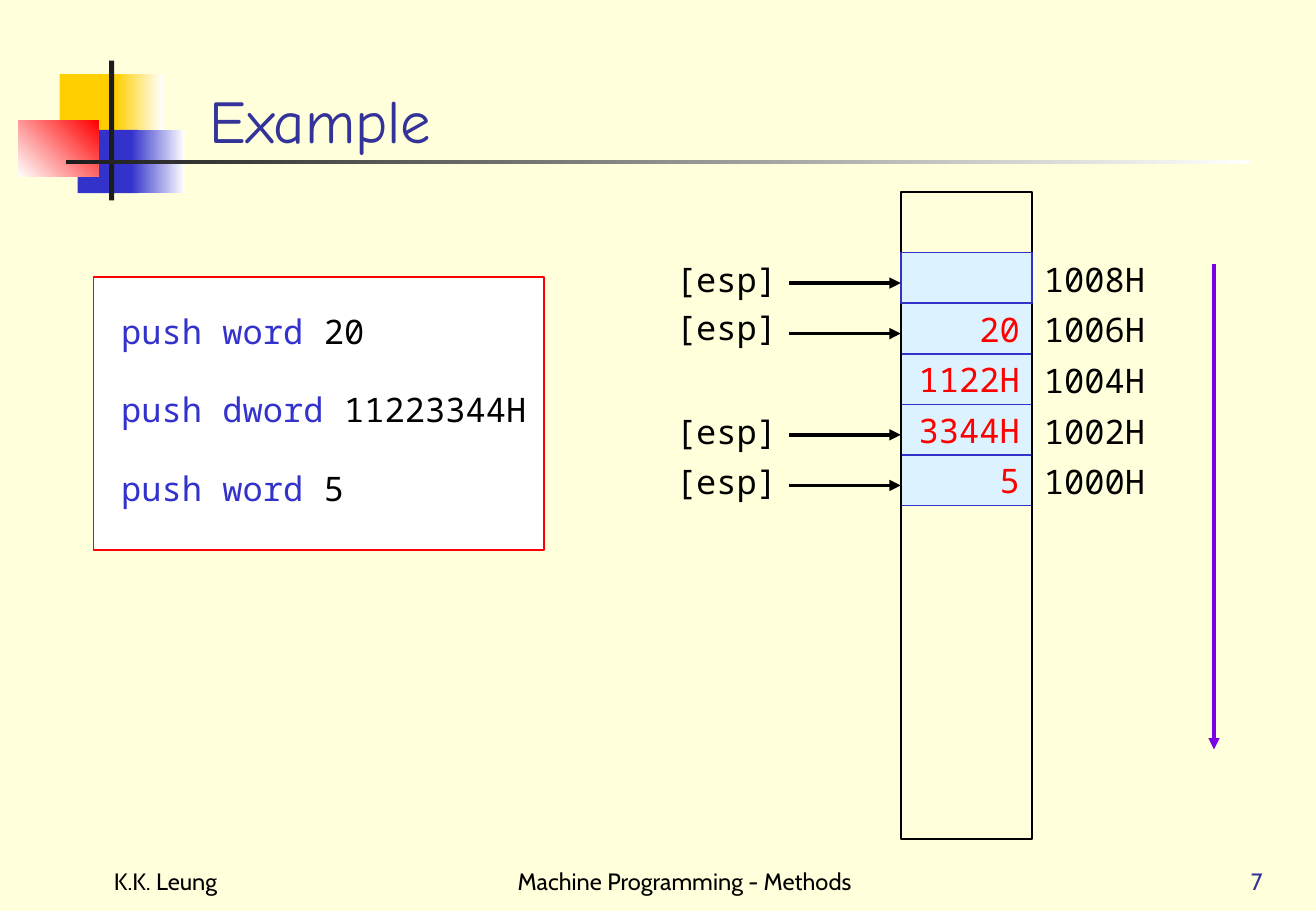
"""Build a slide that traces push instructions down a stack."""
from pptx import Presentation
from pptx.dml.color import RGBColor
from pptx.enum.shapes import MSO_CONNECTOR, MSO_SHAPE
from pptx.enum.text import MSO_ANCHOR, PP_ALIGN
from pptx.oxml.ns import qn
from pptx.util import Inches, Pt
from lxml.etree import SubElement

MONO = "Noto Sans Mono"
LEFT, CENTER, RIGHT = PP_ALIGN.LEFT, PP_ALIGN.CENTER, PP_ALIGN.RIGHT
TOP, MIDDLE, BOTTOM = MSO_ANCHOR.TOP, MSO_ANCHOR.MIDDLE, MSO_ANCHOR.BOTTOM
rgb = RGBColor.from_string

prs = Presentation()
prs.slide_width, prs.slide_height = Inches(10.84), Inches(7.5)
slide = prs.slides.add_slide(prs.slide_layouts[6])
slide.background.fill.solid()
slide.background.fill.fore_color.rgb = rgb("FFFFDB")


def rect(x, y, w, h, fill=(), line=None, angle=0):
    s = slide.shapes.add_shape(MSO_SHAPE.RECTANGLE, *map(Inches, (x, y, w, h)))
    s.shadow.inherit = False
    if len(fill) == 2:
        s.fill.gradient()
        s.fill.gradient_angle = angle
        for stop, color in zip(s.fill.gradient_stops, fill):
            stop.color.rgb = rgb(color)
    elif fill:
        s.fill.solid()
        s.fill.fore_color.rgb = rgb(fill[0])
    else:
        s.fill.background()
    if line:
        s.line.color.rgb = rgb(line)
        s.line.width = Pt(1)
    else:
        s.line.fill.background()
    return s


def write(s, runs, align=LEFT, anchor=TOP, font=MONO, size=20, wrap=True):
    tf = s.text_frame
    tf.word_wrap, tf.vertical_anchor = wrap, anchor
    p = tf.paragraphs[0]
    p.alignment = align
    p.font.name, p.font.size = font, Pt(size)
    for text, color in runs:
        r = p.add_run()
        r.text = text
        r.font.color.rgb = rgb(color)


for x, y, w, h, fill, angle in [
    (0.49, 0.61, 0.52, 0.52, ["FFCF01"], 0),
    (0.95, 0.61, 0.39, 0.52, ["FFCF01", "FFFFFF"], 0),
    (0.64, 1.07, 0.5, 0.52, ["3333CC"], 0),
    (1.08, 1.07, 0.44, 0.52, ["3333CC", "FFFFFF"], 0),
    (0.15, 0.99, 0.66, 0.46, ["FFFFFF", "FF0000"], 45),
    (0.9, 0.5, 0.04, 1.15, ["1C1C1C"], 0),
    (0.54, 1.32, 9.75, 0.03, ["1C1C1C", "FFFFFF"], 0),
]:
    rect(x, y, w, h, fill, angle=angle)

for x, y, w, h, text, color, align, font, size in [
    (1.63, 0.08, 9.23, 1.25, "Example", "333399", LEFT, "Comic Neue", 36),
    (0.84, 6.92, 2.26, 0.5, "K.K. Leung", "000000", LEFT, "Cabin", 14),
    (3.84, 6.92, 3.6, 0.5, "Machine Programming - Methods", "000000", CENTER, "Cabin", 14),
    (8.24, 6.92, 2.26, 0.5, "7", "333399", RIGHT, "Cabin", 14),
]:
    s = slide.shapes.add_textbox(*map(Inches, (x, y, w, h)))
    write(s, [(text, color)], align, BOTTOM, font, size)

rect(0.77, 2.28, 3.71, 2.25, ["FFFFFF"], "FF0000")
code = [("push word ", "20"), ("push dword ", "11223344H"), ("push word ", "5")]
for i, (command, value) in enumerate(code):
    s = slide.shapes.add_textbox(*map(Inches, (0.9, 2.51 + 0.645 * i, 3.91, 0.44)))
    write(s, [(command, "3333CC"), (value, "000000")])

STACK_X, STACK_W, STACK_Y, ROW_H = 7.42, 1.08, 2.08, 5 / 12
arrows = [(10, 2.17, 10, 6.17, "7B00E4")]
stack = [("", "1008H", 0), ("20", "1006H", 0.02), ("1122H", "1004H", None),
         ("3344H", "1002H", 0), ("5", "1000H", 0)]
for row, (value, address, lift) in reversed(list(enumerate(stack))):
    y = STACK_Y + row * ROW_H
    if row == 0:
        rect(STACK_X, 1.58, STACK_W, 5.33, line="000000")
    s = rect(STACK_X, y, STACK_W, ROW_H, ["DDF2FF"], "3333CC")
    if value:
        write(s, [(value, "FF0000")], RIGHT, MIDDLE, wrap=False)
    labels = [(STACK_X + STACK_W, y, 1.33, address, LEFT)]
    if lift is not None:
        labels.append((4.83, y - lift, 1.67, "[esp]", RIGHT))
        arrows.append((6.5, y + 0.25, STACK_X, y + 0.25, "000000"))
    for x, top, w, text, align in labels:
        s = slide.shapes.add_textbox(*map(Inches, (x, top, w, 0.44)))
        write(s, [(text, "000000")], align)

for x1, y1, x2, y2, color in arrows:
    s = slide.shapes.add_connector(MSO_CONNECTOR.STRAIGHT, *map(Inches, (x1, y1, x2, y2)))
    s.line.color.rgb = rgb(color)
    s.line.width = Pt(2.25)
    SubElement(s.line._get_or_add_ln(), qn("a:tailEnd"), type="triangle")
    SubElement(s._element.spPr, qn("a:effectLst"))

prs.save("out.pptx")
